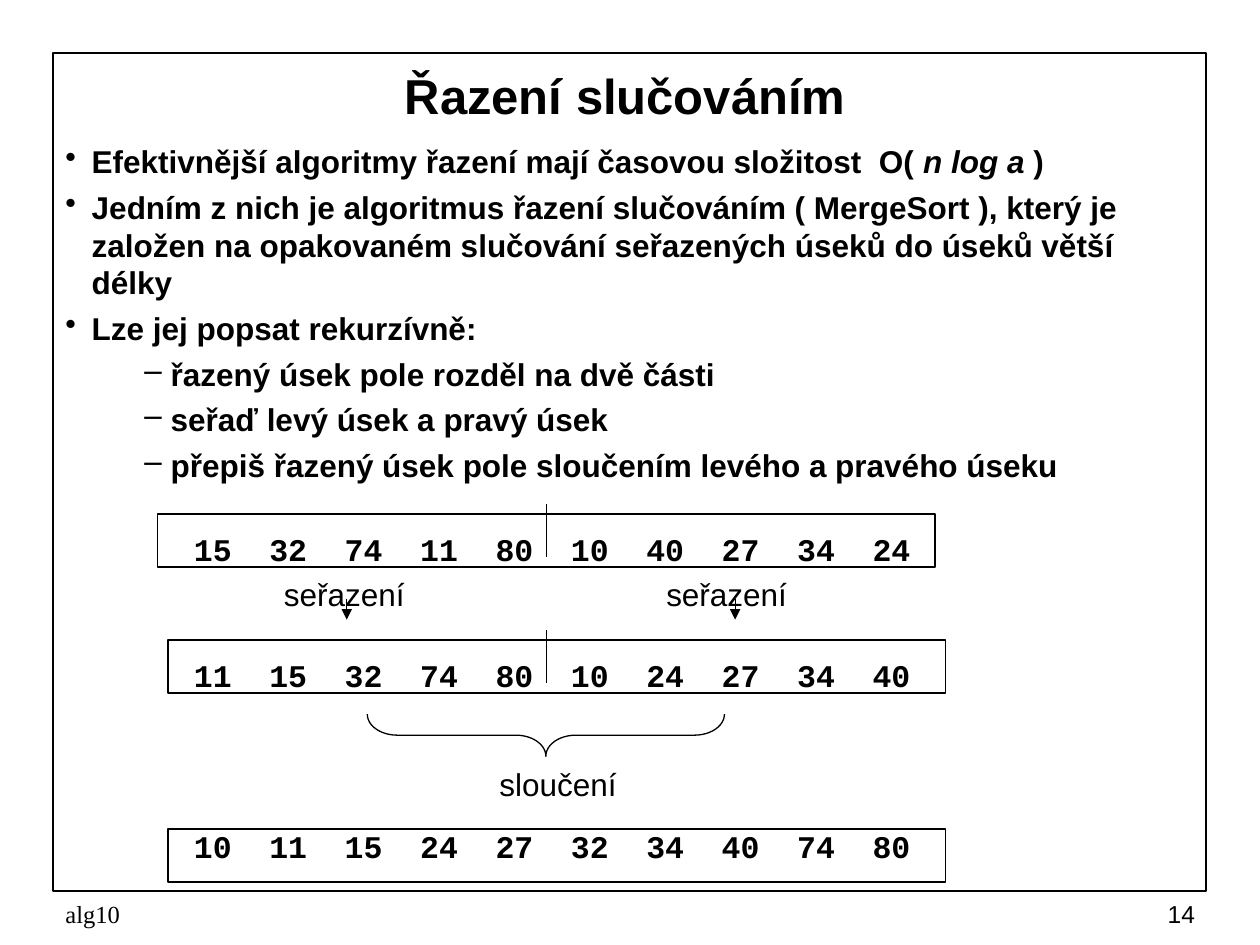
from dataclasses import dataclass

from lxml import etree
from pptx import Presentation
from pptx import util as u
from pptx.dml.color import RGBColor
from pptx.enum import shapes, text
from pptx.oxml.ns import qn


@dataclass(frozen=True)
class Theme:
    ink: RGBColor = RGBColor(0, 0, 0)
    sans: str = "Arial"
    mono: str = "Courier New"
    serif: str = "Times New Roman"
    title: int = 28
    body: int = 18
    footer: int = 14
    hairline: float = 0.75
    frame: float = 1


class SlideBuilder:
    """Draws styled elements on the current slide, with lengths in centimetres."""

    def __init__(self, slide, theme):
        self.slide, self.theme = slide, theme

    def style(self, paragraph, size=None, font=None, bold=False):
        paragraph.font.size = u.Pt(size or self.theme.body)
        paragraph.font.name = font or self.theme.sans
        paragraph.font.bold = bold
        paragraph.font.color.rgb = self.theme.ink

    def outline(self, shape, width=None):
        shape.shadow.inherit = False
        shape.line.color.rgb = self.theme.ink
        shape.line.width = u.Pt(width or self.theme.hairline)

    def text_box(self, box):
        frame = self.slide.shapes.add_textbox(*map(u.Cm, box)).text_frame
        frame.word_wrap = True
        return frame

    def label(self, box, words, align=text.PP_ALIGN.CENTER, **style):
        frame = self.text_box(box)
        frame.vertical_anchor = text.MSO_ANCHOR.MIDDLE
        paragraph = frame.paragraphs[0]
        paragraph.text, paragraph.alignment = words, align
        self.style(paragraph, **style)

    def bullets(self, box, items):
        frame = self.text_box(box)
        for index, (symbol, margin, runs) in enumerate(items):
            paragraph = frame.add_paragraph() if index else frame.paragraphs[0]
            for words, italic in runs:
                run = paragraph.add_run()
                run.text = words
                if italic:
                    run.font.italic = True
            self.style(paragraph, bold=True)
            paragraph.space_before = u.Pt(4.5)
            properties = paragraph._p.get_or_add_pPr()
            properties.set("marL", str(u.Cm(margin)))
            properties.set("indent", str(u.Cm(-0.53)))
            etree.SubElement(properties, qn("a:buChar")).set("char", symbol)

    def shape(self, kind, box, width=None):
        shape = self.slide.shapes.add_shape(kind, *map(u.Cm, box))
        shape.fill.background()
        self.outline(shape, width)
        return shape

    def number_row(self, box, numbers, text_left, text_shift, pitch):
        frame = self.shape(shapes.MSO_SHAPE.RECTANGLE, box).text_frame
        frame.vertical_anchor = text.MSO_ANCHOR.MIDDLE
        frame.margin_left, frame.margin_right = u.Cm(text_left - box[0]), 0
        frame.margin_top = u.Cm(max(2 * text_shift, 0))
        frame.margin_bottom = u.Cm(max(-2 * text_shift, 0))
        paragraph = frame.paragraphs[0]
        paragraph.alignment = text.PP_ALIGN.LEFT
        paragraph.add_run().text = "\t".join(map(str, numbers))
        self.style(paragraph, font=self.theme.mono, bold=True)
        tabs = etree.SubElement(paragraph._p.get_or_add_pPr(), qn("a:tabLst"))
        for step in range(1, len(numbers)):
            etree.SubElement(tabs, qn("a:tab"), pos=str(u.Cm(step * pitch)), algn="l")

    def vertical_line(self, x, top, length, arrow=False):
        line = self.slide.shapes.add_connector(
            shapes.MSO_CONNECTOR.STRAIGHT, *map(u.Cm, (x, top, x, top + length)))
        line.line.color.rgb = self.theme.ink
        line.line.width = u.Pt(self.theme.hairline)
        if arrow:
            etree.SubElement(line.line._get_or_add_ln(), qn("a:tailEnd"), type="triangle")
        etree.SubElement(line._element.spPr, qn("a:effectLst"))

    def brace_down(self, box, curve):
        brace = self.shape(shapes.MSO_SHAPE.LEFT_BRACE, box)
        brace.rotation = 270
        brace.adjustments[0] = curve


def main():
    presentation = Presentation()
    presentation.slide_width, presentation.slide_height = u.Cm(25.4), u.Cm(19.05)
    theme = Theme()
    slide = presentation.slides.add_slide(presentation.slide_layouts[6])
    builder = SlideBuilder(slide, theme)

    builder.shape(shapes.MSO_SHAPE.RECTANGLE, (1.07, 1.07, 23.24, 16.89), theme.frame)
    builder.label((1.27, 1.07, 22.66, 1.7), "Řazení slučováním", size=theme.title, bold=True)

    topics = [
        [("Efektivnější algoritmy řazení mají časovou složitost  O( ", False),
         ("n log a ", True), (")", False)],
        [("Jedním z nich je algoritmus řazení slučováním ( MergeSort ), který je založen "
          "na opakovaném slučování seřazených úseků do úseků větší délky", False)],
        [("Lze jej popsat rekurzívně:", False)],
    ]
    steps = [
        "řazený úsek pole rozděl na dvě části",
        "seřaď levý úsek a pravý úsek",
        "přepiš řazený úsek pole sloučením levého a pravého úseku",
    ]
    builder.bullets(
        (1.07, 2.74, 23.29, 7.3),
        [("•", 0.53, runs) for runs in topics]
        + [("–", 2.12, [(step, False)]) for step in steps])

    rows = [
        (3.18, 10.36, 0.18, [15, 32, 74, 11, 80, 10, 40, 27, 34, 24]),
        (3.39, 12.9, 0.18, [11, 15, 32, 74, 80, 10, 24, 27, 34, 40]),
        (3.39, 16.71, -0.2, [10, 11, 15, 24, 27, 32, 34, 40, 74, 80]),
    ]
    for left, top, shift, numbers in rows:
        builder.number_row((left, top, 15.67, 1.07), numbers, 3.91, shift, 1.52)
    for left, top, shift, numbers in rows[:2]:
        builder.vertical_line(11.01, top - 0.2, 1.07)

    label_width, label_height = 4, 1.02
    for center, top, words in [
        (6.94, 11.46, "seřazení"), (14.65, 11.46, "seřazení"), (11.25, 15.29, "sloučení"),
    ]:
        builder.label((center - label_width / 2, top, label_width, label_height), words)
    for x in (6.99, 14.82):
        builder.vertical_line(x, 12.07, 0.42, arrow=True)
    builder.brace_down((10.58, 11.22, 0.85, 7.2), 0.71)

    builder.label((1.07, 17.99, 8.04, 0.85), "alg10", text.PP_ALIGN.LEFT,
                  size=theme.footer, font=theme.serif)
    builder.label((19.05, 17.99, 5.29, 0.85), "14", text.PP_ALIGN.RIGHT, size=theme.footer)
    presentation.save("out.pptx")


if __name__ == "__main__":
    main()
